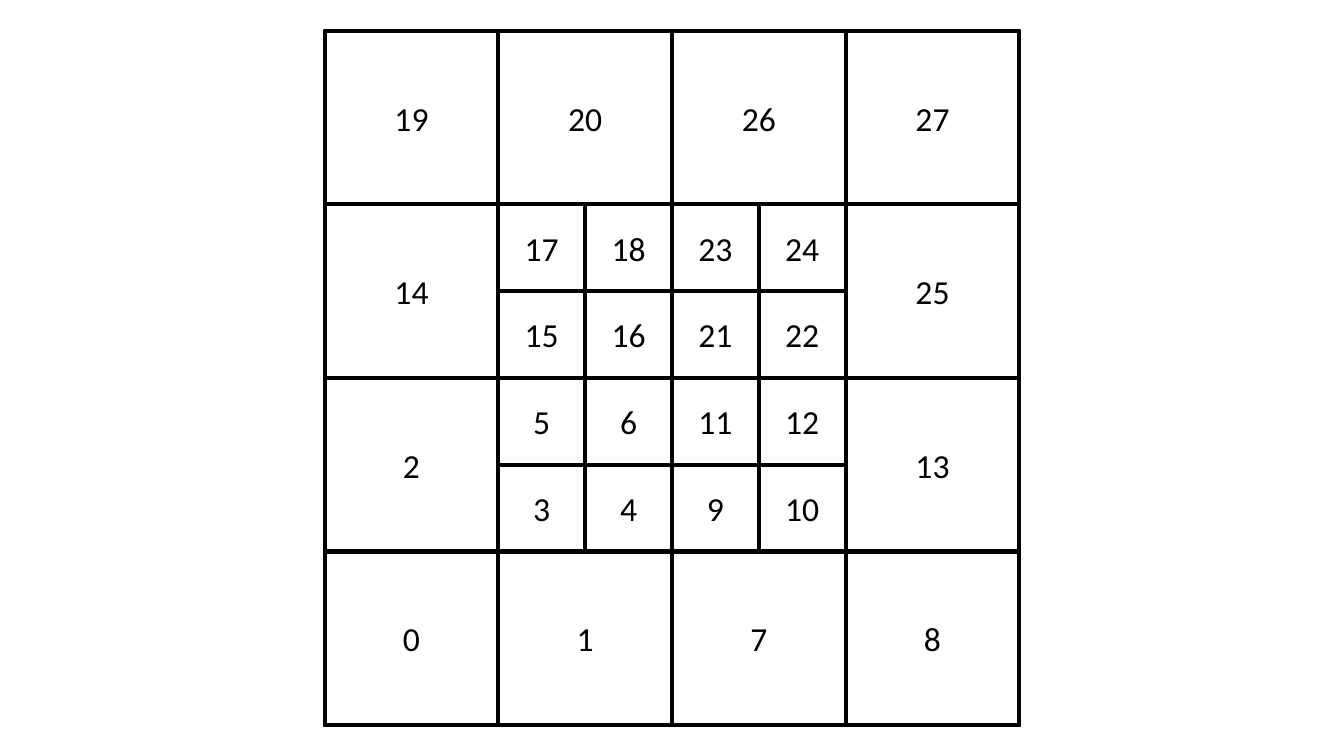
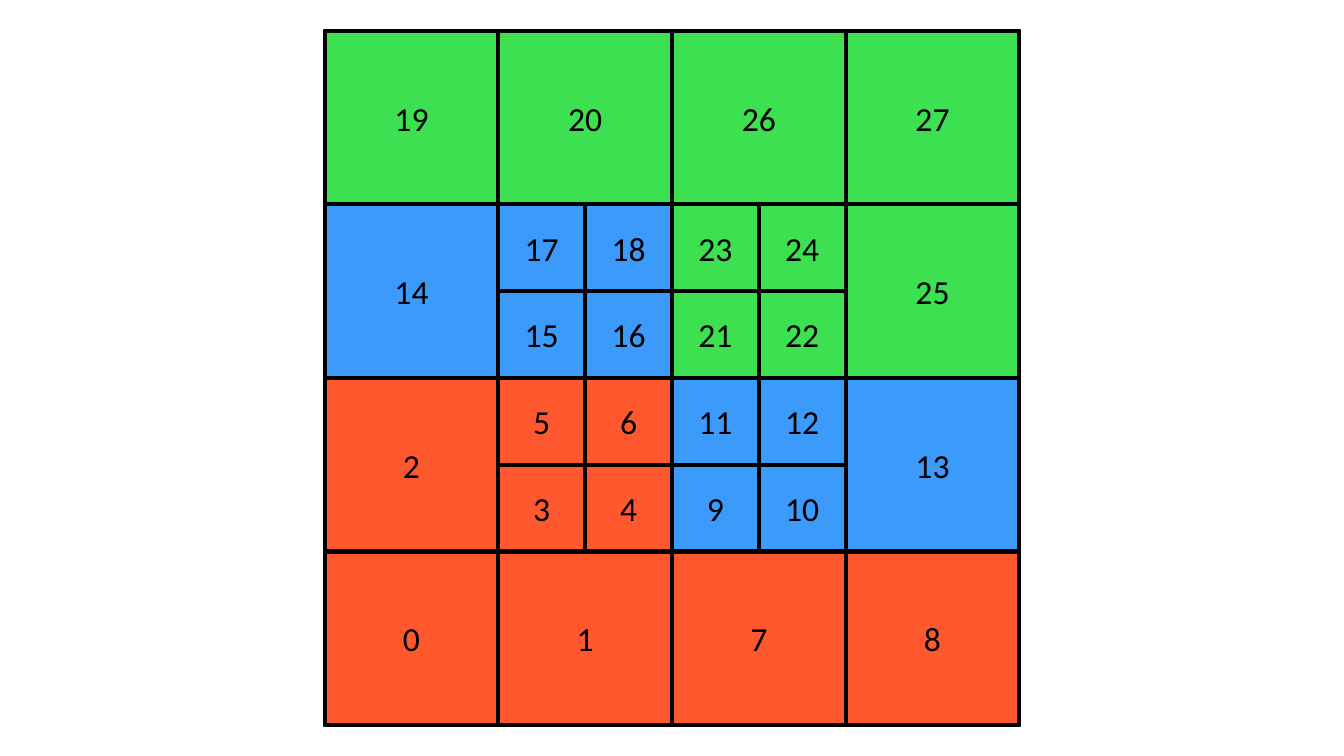
from itertools import count

from pptx import Presentation
from pptx.dml.color import RGBColor
from pptx.enum.shapes import MSO_SHAPE as Shape
from pptx.enum.text import MSO_ANCHOR as Anchor, PP_ALIGN as Align
from pptx.util import Inches, Pt

BLACK = RGBColor(0x00, 0x00, 0x00)
RED = RGBColor(0xFF, 0x58, 0x2E)
BLUE = RGBColor(0x3C, 0x9B, 0xFA)
GREEN = RGBColor(0x3C, 0xE0, 0x50)

# The grid is centred on the page and measured in eighths of its side
PAGE_WIDTH, PAGE_HEIGHT, GRID_SIDE = 13.33, 7.5, 6.89
UNITS = 8
UNIT = GRID_SIDE / UNITS
LEFT = (PAGE_WIDTH - GRID_SIDE) / 2
TOP = (PAGE_HEIGHT - GRID_SIDE) / 2


def split(column, row, size):
    """Return the four quadrants in Z-order, starting at the lower left."""
    half = size // 2
    return [(column + x * half, row + y * half, half) for y in (1, 0) for x in (0, 1)]


def add_text(box, text, font="Calibri", size=24, color=BLACK):
    frame = box.text_frame
    frame.vertical_anchor = Anchor.MIDDLE
    para = frame.paragraphs[0]
    para.alignment = Align.CENTER
    span = para.add_run()
    span.text = text
    span.font.name = font
    span.font.size = Pt(size)
    span.font.color.rgb = color


# Quadtree: the four central blocks are split again, only leaves are numbered
cells = []
numbers = count()
for quadrant in split(0, 0, UNITS):
    cells.append((quadrant, None))
    for block in split(*quadrant):
        column, row, size = block
        leaves = [block]
        if column in (2, 4) and row in (2, 4):
            cells.append((block, None))
            leaves = split(*block)
        cells.extend((leaf, next(numbers)) for leaf in leaves)

# Larger cells lie behind smaller ones
cells.sort(key=lambda cell: cell[0][2], reverse=True)

deck = Presentation()
deck.slide_width = Inches(PAGE_WIDTH)
deck.slide_height = Inches(PAGE_HEIGHT)

# First the plain numbering, then its partition into three colours
for coloured in (False, True):
    page = deck.slides.add_slide(deck.slide_layouts[6])
    grid = page.shapes.add_group_shape()
    for (column, row, size), number in cells:
        box = grid.shapes.add_shape(
            Shape.RECTANGLE,
            Inches(LEFT + column * UNIT), Inches(TOP + row * UNIT),
            Inches(size * UNIT), Inches(size * UNIT))
        box.shadow.inherit = False
        box.line.color.rgb = BLACK
        box.line.width = Pt(3)
        if coloured and number is not None:
            box.fill.solid()
            box.fill.fore_color.rgb = RED if number < 9 else BLUE if number < 19 else GREEN
        else:
            box.fill.background()
        if number is not None:
            add_text(box, str(number))

deck.save("out.pptx")
